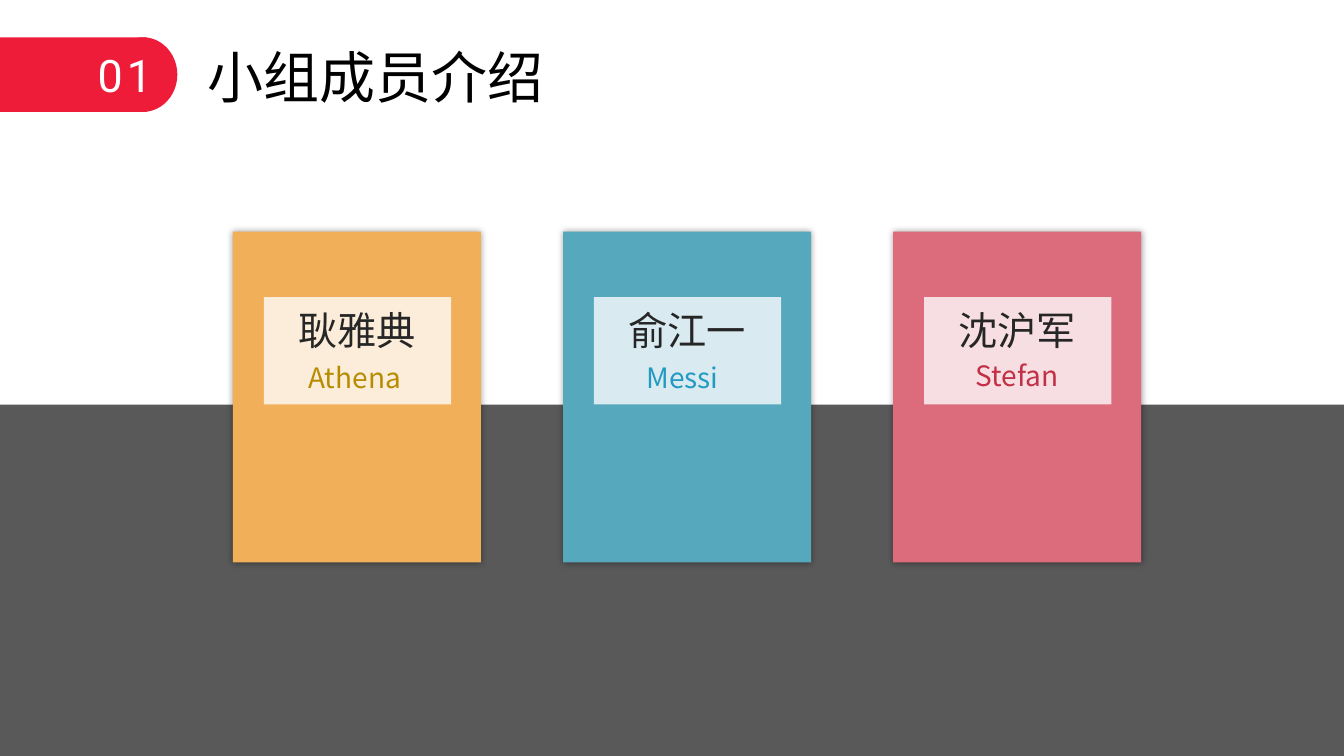
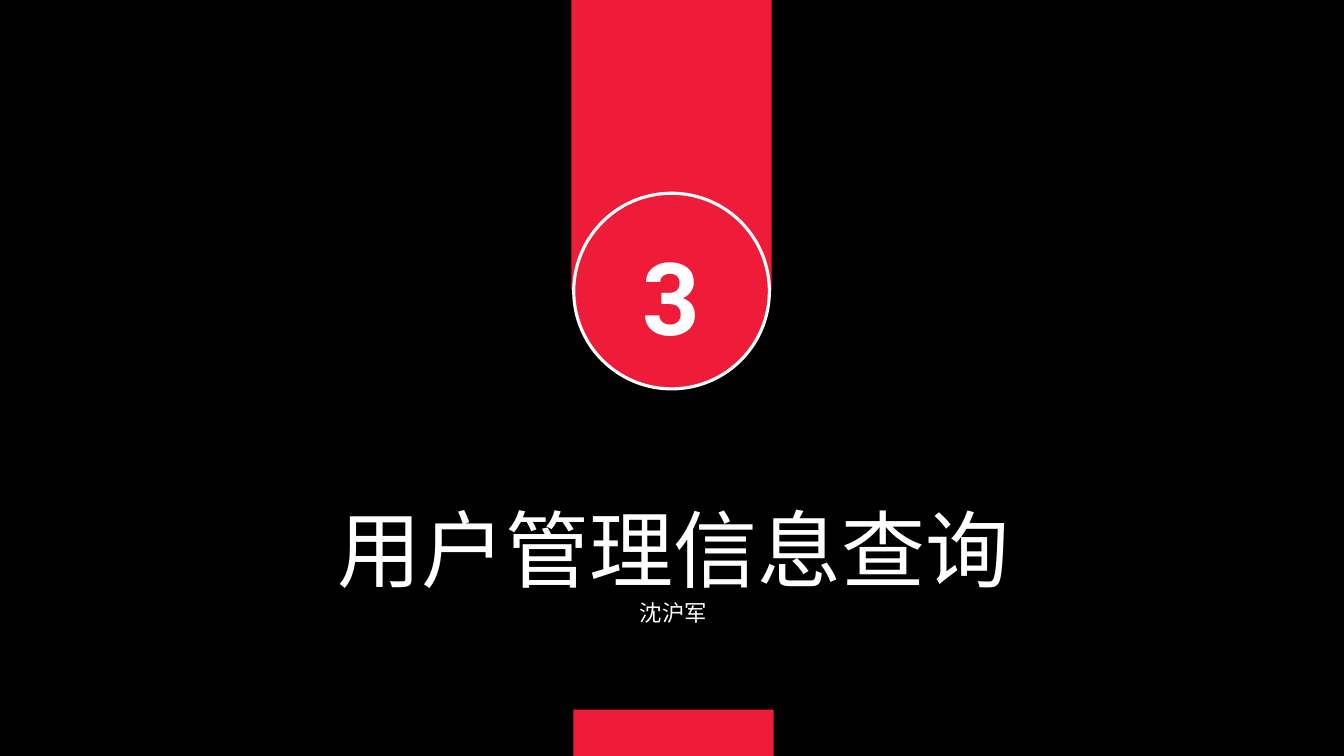
from dataclasses import dataclass
from typing import Any

import lxml.etree
import pptx
import pptx.dml.color
import pptx.enum.shapes
import pptx.enum.text
import pptx.oxml
import pptx.oxml.ns
import pptx.util

Cm = pptx.util.Cm
Pt = pptx.util.Pt
Kind = pptx.enum.shapes.MSO_SHAPE
Align = pptx.enum.text.PP_ALIGN
qn = pptx.oxml.ns.qn


@dataclass(frozen=True)
class Theme:
    red: str = "EE1C39"
    white: str = "FFFFFF"
    black: str = "000000"
    gray: str = "595959"
    ink: str = "262626"
    sans: str = "Noto Sans CJK SC"
    digit: str = "Roboto"
    cover: int = 60
    title: int = 40
    name: int = 28
    nick: int = 20
    small: int = 16
    tag: int = 32
    number: int = 72


@dataclass(frozen=True)
class Box:
    left: float
    top: float
    width: float
    height: float

    def place(self) -> tuple[Any, Any, Any, Any]:
        return Cm(self.left), Cm(self.top), Cm(self.width), Cm(self.height)


@dataclass(frozen=True)
class Style:
    size: int
    color: str
    font: str
    align: Any = Align.LEFT
    bold: bool = False
    gap: int = 0


@dataclass(frozen=True)
class Member:
    name: str
    nick: str
    fill: str
    color: str
    shift: float
    top: float


THEME = Theme()
WIDTH, HEIGHT = 33.87, 19.05
CARD = Box(5.87, 5.84, 6.25, 8.33)
STEP = 8.32
MEMBERS = (
    Member("耿雅典", "Athena", "F1AF59", "B88C00", 1.65, 8.97),
    Member("俞江一", "Messi", "56A8BD", "229AC4", 1.85, 8.97),
    Member("沈沪军", "Stefan", "DC6C7C", "C32F44", 1.83, 8.92),
)


def rgb(color: str) -> Any:
    return pptx.dml.color.RGBColor.from_string(color)


def paint(slide: Any, color: str) -> None:
    fill = slide.background.fill
    fill.solid()
    fill.fore_color.rgb = rgb(color)


def draw(slide: Any, box: Box, color: str, kind: Any = Kind.RECTANGLE) -> Any:
    shape = slide.shapes.add_shape(kind, *box.place())
    shape.shadow.inherit = False
    shape.fill.solid()
    shape.fill.fore_color.rgb = rgb(color)
    shape.line.fill.background()
    return shape


def fade(shape: Any, alpha: int) -> None:
    color = shape.fill._xPr.find(f".//{qn('a:srgbClr')}")
    lxml.etree.SubElement(color, qn("a:alpha")).set("val", str(alpha * 1000))


def glow(shape: Any, alpha: int, blur: int) -> None:
    effect = shape._element.spPr.find(qn("a:effectLst"))
    shadow = lxml.etree.SubElement(effect, qn("a:outerShdw"))
    shadow.set("blurRad", str(Pt(blur)))
    shadow.set("algn", "ctr")
    shadow.set("rotWithShape", "0")
    color = lxml.etree.SubElement(shadow, qn("a:srgbClr"))
    color.set("val", THEME.black)
    lxml.etree.SubElement(color, qn("a:alpha")).set("val", str(alpha * 1000))


def write(shape: Any, text: str, style: Style) -> None:
    frame = shape.text_frame
    frame.word_wrap = True
    frame.auto_size = pptx.enum.text.MSO_AUTO_SIZE.NONE
    frame.vertical_anchor = pptx.enum.text.MSO_ANCHOR.MIDDLE
    para = frame.paragraphs[0]
    para.alignment = style.align
    para.space_before = Pt(0)
    run = para.add_run()
    run.text = text
    font = run.font
    font.name = style.font
    font.size = Pt(style.size)
    font.bold = style.bold
    font.color.rgb = rgb(style.color)
    props = run._r.get_or_add_rPr()
    lxml.etree.SubElement(props, qn("a:ea")).set("typeface", style.font)
    if style.gap:
        props.set("spc", str(style.gap * 100))


def label(slide: Any, box: Box, text: str, style: Style) -> None:
    write(slide.shapes.add_textbox(*box.place()), text, style)


def fill(holder: Any, box: Box, text: str, style: Style) -> None:
    holder.left, holder.top, holder.width, holder.height = box.place()
    write(holder, text, style)


def header(slide: Any, tag: str, title: str) -> None:
    draw(slide, Box(0, 0.94, 3.7, 1.88), THEME.red)
    draw(slide, Box(2.74, 0.94, 1.73, 1.88), THEME.red, Kind.OVAL)
    label(slide, Box(2.21, 1.07, 3.18, 1.63), tag,
          Style(THEME.tag, THEME.white, THEME.digit, gap=3))
    fill(slide.shapes.title, Box(4.98, 0.94, 9.88, 1.96), title,
         Style(THEME.title, THEME.black, THEME.sans))


def card(slide: Any, left: float, member: Member) -> None:
    base = draw(slide, Box(left, CARD.top, CARD.width, CARD.height), member.fill)
    glow(base, 40, 5)
    panel = draw(slide, Box(left + 0.78, 7.49, 4.72, 2.7), THEME.white)
    fade(panel, 78)
    label(slide, Box(left + 1.4, 7.62, 3.8, 1.4), member.name,
          Style(THEME.name, THEME.ink, THEME.sans))
    label(slide, Box(left + member.shift, member.top, 4.11, 1.07), member.nick,
          Style(THEME.nick, member.color, THEME.sans))


def team(deck: Any) -> None:
    slide = deck.slides.add_slide(deck.slide_layouts[5])
    paint(slide, THEME.white)
    draw(slide, Box(0, 10.2, WIDTH, HEIGHT - 10.2), THEME.gray)
    for index, member in enumerate(MEMBERS):
        card(slide, CARD.left + index * STEP, member)
    header(slide, "01", "小组成员介绍")


def section(deck: Any, number: str, title: str, author: str) -> None:
    slide = deck.slides.add_slide(deck.slide_layouts[0])
    paint(slide, THEME.black)
    draw(slide, Box(14.4, 0, 5.05, 7.32), THEME.red)
    draw(slide, Box(14.45, 17.88, 5.05, HEIGHT - 17.88), THEME.red)
    ring = draw(slide, Box(14.46, 4.87, 4.93, 4.93), THEME.red, Kind.OVAL)
    ring.line.color.rgb = rgb(THEME.white)
    ring.line.width = Pt(2.25)
    label(slide, Box(14.93, 5.77, 4, 3.33), number,
          Style(THEME.number, THEME.white, THEME.digit, Align.CENTER, True))
    fill(slide.shapes.title, Box(4.55, 12.45, 24.84, 2.7), title,
         Style(THEME.cover, THEME.white, THEME.sans, Align.CENTER))
    fill(slide.placeholders[1], Box(4.55, 14.95, 24.84, 0.95), author,
         Style(THEME.small, THEME.white, THEME.sans, Align.CENTER))


def main() -> None:
    deck = pptx.Presentation()
    deck.slide_width, deck.slide_height = Cm(WIDTH), Cm(HEIGHT)
    team(deck)
    section(deck, "3", "用户管理信息查询", "沈沪军")
    deck.save("out.pptx")


if __name__ == "__main__":
    main()
